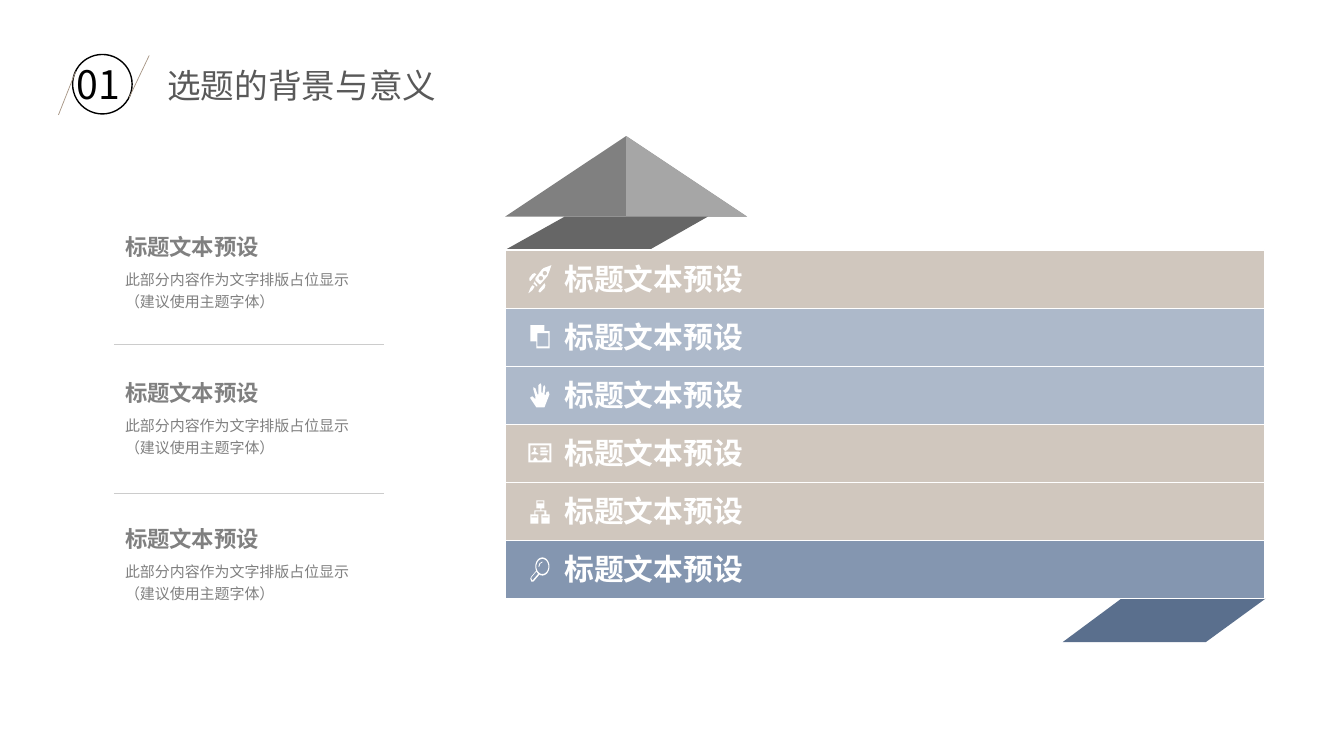
from dataclasses import dataclass
from math import cos, pi, sin

from lxml.etree import SubElement
from pptx import Presentation
from pptx.dml.color import RGBColor
from pptx.enum.shapes import MSO_CONNECTOR as Connector, MSO_SHAPE as Shape
from pptx.enum.text import MSO_ANCHOR as Anchor, MSO_AUTO_SIZE as AutoSize, PP_ALIGN as Align
from pptx.oxml.ns import qn
from pptx.shapes.autoshape import Shape as AutoShape
from pptx.slide import Slide
from pptx.text.text import TextFrame
from pptx.util import Inches, Pt

Contour = list[tuple[float, float]]
Piece = list[Contour]


@dataclass(frozen=True)
class Theme:
    font: str = "Noto Sans CJK SC"
    title_font: str = "Arial"
    white: str = "FFFFFF"
    black: str = "000000"
    title: str = "595959"
    gray: str = "808080"
    light_gray: str = "A6A6A6"
    dark_gray: str = "666666"
    rule: str = "CCCCCC"
    slash: str = "A69584"
    sand: str = "D0C7BE"
    mist: str = "ADB9CA"
    steel: str = "8496B0"
    navy: str = "5A6F8D"
    number_size: float = 28
    title_size: float = 24
    band_size: float = 21.3
    heading_size: float = 16
    body_size: float = 10.7


@dataclass(frozen=True)
class Band:
    color: str
    icon: list[Piece]
    bars: tuple[tuple[int, int, int, int], ...] = ()


@dataclass(frozen=True)
class Rule:
    start: tuple[float, float]
    end: tuple[float, float]
    color: str


THEME = Theme()
LABEL = "标题文本预设"
BAND_LEFT, BAND_TOP, BAND_PITCH = 5.01, 2.48, 0.576
BAND_WIDTH, BAND_HEIGHT = 7.53, 0.58
ICON_LEFT = 5.24


def ellipse(x: float, y: float, radius_x: float, radius_y: float) -> Contour:
    return [(x + radius_x * cos(step * pi / 16), y + radius_y * sin(step * pi / 16))
            for step in range(32)]


ROCKET = [
    [[(18, 17), (15, 18), (13, 20), (7, 28), (7, 30), (11, 34), (12, 34), (19, 26), (21, 21), (23, 15)],
     ellipse(12.5, 28, 2.2, 2.2), ellipse(16.5, 23, 2.2, 2.2)],
    [[(3, 30), (8, 24), (6, 23), (4, 24), (1, 28), (1, 30), (2, 31)]],
    [[(11, 39), (10, 41), (11, 42), (12, 42), (16, 38), (17, 35), (16, 33)]],
    [[(6, 32), (5, 33), (8, 36), (9, 36), (9, 35), (6, 31)]],
    [[(0, 43), (4, 40), (6, 37), (6, 36), (4, 35), (2, 38)]],
]
SHEETS = [
    [[(16, 23), (16, 17), (2, 17), (2, 33), (8, 33), (8, 40), (21, 40), (21, 23)],
     [(20, 38), (9, 38), (9, 25), (20, 25)]],
]
HAND = [
    [[(8, 41), (16, 41), (21, 28), (20, 25), (18, 26), (17, 29), (16, 28), (17, 21), (16, 19),
      (15, 20), (14, 27), (13, 26), (13, 19), (12, 17), (10, 19), (10, 28), (9, 28), (7, 22),
      (5, 21), (5, 23), (7, 30), (7, 33), (4, 30), (2, 31), (2, 32), (6, 38)]],
]
CARD = [
    [[(10, 30), (10, 29), (8, 28), (7, 27), (7, 26), (8, 25), (8, 24), (6, 23), (5, 24),
      (5, 25), (6, 27), (4, 28), (3, 29), (3, 30)]],
    [[(0, 19), (0, 38), (23, 38), (23, 19)],
     [(21, 36), (19, 36), (19, 35), (17, 33), (14, 35), (14, 36), (9, 36), (9, 35), (7, 33),
      (5, 35), (5, 36), (2, 36), (2, 21), (21, 21)]],
]
CARD_BARS = ((12, 23, 6, 2), (12, 26, 8, 2), (12, 29, 7, 2))
HIERARCHY = [
    [[(18, 32), (18, 28), (13, 28), (13, 26), (16, 26), (16, 18), (8, 18), (8, 26), (12, 26),
      (12, 28), (6, 28), (6, 32), (2, 32), (2, 41), (10, 41), (10, 32), (7, 32), (7, 29),
      (16, 29), (16, 32), (13, 32), (13, 41), (21, 41), (21, 32)],
     [(9, 34), (9, 35), (3, 35), (3, 34)],
     [(9, 21), (9, 19), (15, 19), (15, 21)],
     [(20, 35), (14, 35), (14, 34), (20, 34)]],
]
MAGNIFIER = [
    [ellipse(14, 26, 7, 9), ellipse(14, 26, 6, 7.5)],
    [[(8, 30), (3, 36), (2, 38), (3, 41), (5, 41), (6, 40), (11, 34)],
     [(5, 39), (4, 40), (3, 38), (3, 37), (8, 31), (10, 33)]],
    [[(14, 21), (11, 23), (10, 26), (11, 26), (12, 23), (14, 22)]],
]
BANDS = [
    Band(THEME.sand, ROCKET),
    Band(THEME.mist, SHEETS),
    Band(THEME.mist, HAND),
    Band(THEME.sand, CARD, CARD_BARS),
    Band(THEME.sand, HIERARCHY),
    Band(THEME.steel, MAGNIFIER),
]
FOLDS = [
    (THEME.gray, [(6.21, 1.35), (5.01, 2.15), (7.41, 2.15)]),
    (THEME.light_gray, [(6.21, 1.35), (6.21, 2.15), (7.41, 2.15)]),
    (THEME.navy, [(11.12, 5.94), (10.54, 6.37), (11.96, 6.37), (12.55, 5.94)]),
    (THEME.dark_gray, [(5.6, 2.15), (5.01, 2.48), (6.44, 2.48), (7.02, 2.15)]),
]
RULES = [
    Rule((0.75, 0.71), (0.58, 1.14), THEME.slash),
    Rule((1.48, 0.55), (1.28, 0.97), THEME.slash),
    *(Rule((1.13, y), (3.81, y), THEME.rule) for y in (3.42, 4.89)),
]


def paint(shape: AutoShape, color: str) -> None:
    shape.shadow.inherit = False
    shape.fill.solid()
    shape.fill.fore_color.rgb = RGBColor.from_string(color)
    shape.line.fill.background()


def draw_piece(page: Slide, piece: Piece, color: str, left: float = 0, top: float = 0,
               unit: float = 1) -> None:
    outlines = [[(Inches(left + x * unit), Inches(top + y * unit)) for x, y in contour]
                for contour in piece]
    builder = page.shapes.build_freeform(*outlines[0][0])
    builder.add_line_segments(outlines[0][1:], close=True)
    for outline in outlines[1:]:
        builder.move_to(*outline[0])
        builder.add_line_segments(outline[1:], close=True)
    paint(builder.convert_to_shape(), color)


def draw_rectangle(page: Slide, left: float, top: float, width: float, height: float,
                   color: str) -> AutoShape:
    box = page.shapes.add_shape(Shape.RECTANGLE, Inches(left), Inches(top), Inches(width), Inches(height))
    paint(box, color)
    return box


def draw_rule(page: Slide, rule: Rule) -> None:
    ends = [Inches(value) for value in (*rule.start, *rule.end)]
    line = page.shapes.add_connector(Connector.STRAIGHT, *ends)
    line.line.color.rgb = RGBColor.from_string(rule.color)
    line.line.width = Pt(0.5)
    SubElement(line._element.spPr, qn("a:effectLst"))


def write(frame: TextFrame, lines: list[str], size: float, color: str, bold: bool = False,
          font: str = THEME.font) -> None:
    frame.word_wrap = True
    para = frame.paragraphs[0]
    para.alignment = Align.LEFT
    for index, line in enumerate(lines):
        if index:
            para.add_line_break()
        span = para.add_run()
        span.text = line
        span.font.size = Pt(size)
        span.font.bold = bold
        span.font.color.rgb = RGBColor.from_string(color)
        span.font.name = font
        SubElement(span.font._element, qn("a:ea"), typeface=THEME.font)


def add_text(page: Slide, left: float, top: float, width: float, height: float) -> TextFrame:
    box = page.shapes.add_textbox(Inches(left), Inches(top), Inches(width), Inches(height))
    return box.text_frame


def draw_band(page: Slide, band: Band, top: float) -> None:
    box = draw_rectangle(page, BAND_LEFT, top, BAND_WIDTH, BAND_HEIGHT, band.color)
    box.line.color.rgb = RGBColor.from_string(THEME.white)
    box.line.width = Pt(1)
    for piece in band.icon:
        draw_piece(page, piece, THEME.white, ICON_LEFT, top, 0.01)
    for x, y, width, height in band.bars:
        draw_rectangle(page, ICON_LEFT + x / 100, top + y / 100, width / 100, height / 100, THEME.white)
    frame = add_text(page, 5.5, top - 0.03, 2.5, 0.63)
    frame.vertical_anchor = Anchor.MIDDLE
    write(frame, [LABEL], THEME.band_size, THEME.white, bold=True)


def draw_note(page: Slide, top: float) -> None:
    heading = add_text(page, 1.24, top, 2.86, 0.34)
    body = add_text(page, 1.24, top + 0.34, 2.86, 0.56)
    for frame in (heading, body):
        frame.margin_left = frame.margin_top = frame.margin_right = frame.margin_bottom = 0
    write(heading, [LABEL], THEME.heading_size, THEME.gray, bold=True)
    write(body, ["此部分内容作为文字排版占位显示", "（建议使用主题字体）"], THEME.body_size, THEME.gray)
    body.paragraphs[0].line_spacing = 1.2


def draw_header(page: Slide) -> None:
    title = page.shapes.title
    title.left, title.top, title.width, title.height = (Inches(v) for v in (1.56, 0.59, 3.32, 0.5))
    title.text_frame.vertical_anchor = Anchor.TOP
    title.text_frame.auto_size = AutoSize.SHAPE_TO_FIT_TEXT
    write(title.text_frame, ["选题的背景与意义"], THEME.title_size, THEME.title, font=THEME.title_font)
    ring = page.shapes.add_shape(Shape.OVAL, Inches(0.72), Inches(0.54), Inches(0.59), Inches(0.59))
    ring.shadow.inherit = False
    ring.fill.background()
    ring.line.color.rgb = RGBColor.from_string(THEME.black)
    ring.line.width = Pt(1)
    write(add_text(page, 0.66, 0.55, 1.03, 0.57), ["01"], THEME.number_size, THEME.black)


def main() -> None:
    deck = Presentation()
    deck.slide_width, deck.slide_height = Inches(13.33), Inches(7.5)
    page = deck.slides.add_slide(deck.slide_layouts[5])
    draw_header(page)
    for color, corners in FOLDS:
        draw_piece(page, [corners], color)
    for index, band in reversed(list(enumerate(BANDS))):
        draw_band(page, band, BAND_TOP + index * BAND_PITCH)
    for index in range(3):
        draw_note(page, 2.31 + index * 1.45)
    for rule in RULES:
        draw_rule(page, rule)
    deck.save("out.pptx")


if __name__ == "__main__":
    main()
